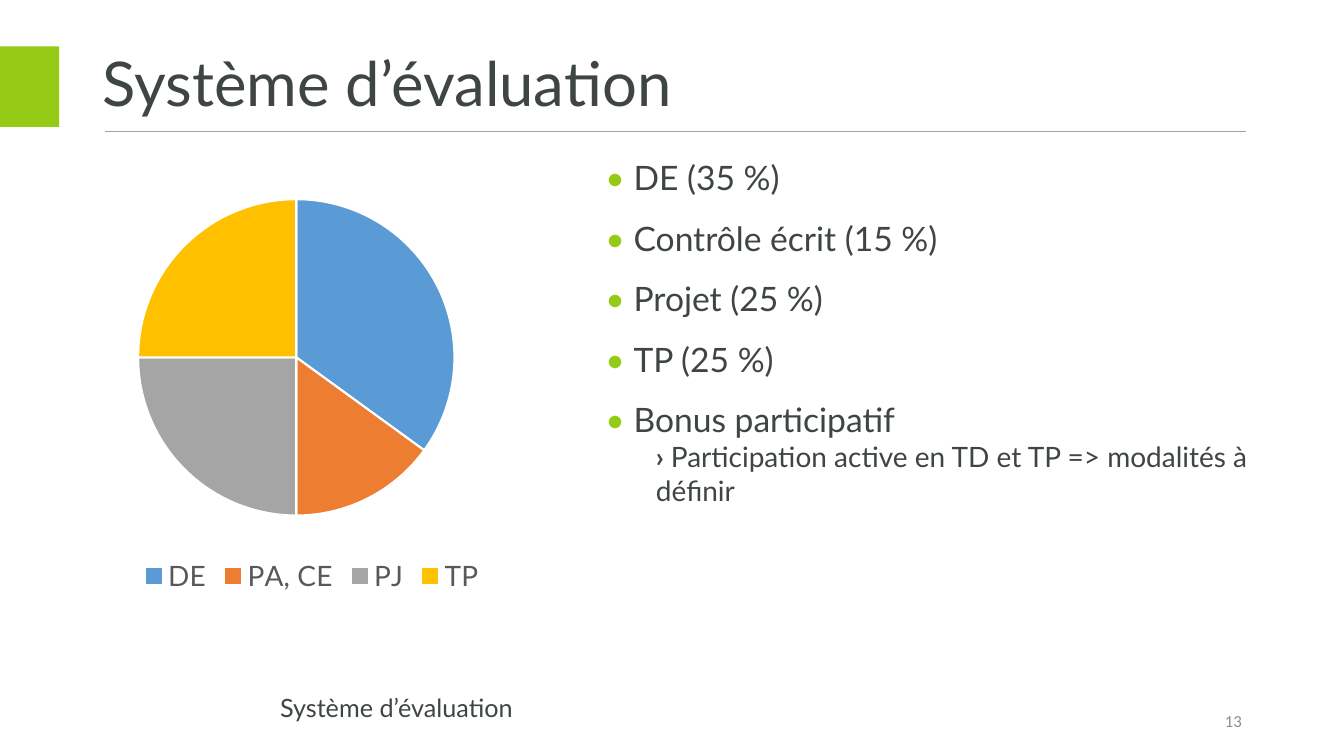
from lxml import etree
from pptx import Presentation
from pptx.chart.data import CategoryChartData
from pptx.dml.color import RGBColor
from pptx.enum.chart import XL_CHART_TYPE, XL_LEGEND_POSITION
from pptx.enum.shapes import MSO_CONNECTOR, MSO_SHAPE
from pptx.enum.text import MSO_ANCHOR, PP_ALIGN
from pptx.oxml import parse_xml
from pptx.oxml.ns import nsdecls, qn
from pptx.util import Cm, Pt

PIE = XL_CHART_TYPE.PIE
BOTTOM = XL_LEGEND_POSITION.BOTTOM
LINE = MSO_CONNECTOR.STRAIGHT
RECT = MSO_SHAPE.RECTANGLE
TOP, MIDDLE = MSO_ANCHOR.TOP, MSO_ANCHOR.MIDDLE
LEFT, RIGHT = PP_ALIGN.LEFT, PP_ALIGN.RIGHT

GREEN, DARK, GREY, RULE = "95CB15", "3F4444", "8C8C8C", "9FA1A1"
TITLE = "Système d’évaluation"


def color(code):
    return RGBColor.from_string(code)


class Page:
    def __init__(self, slide, font, ink):
        self.shapes = slide.shapes
        self.font = font
        self.ink = ink

    def style(self, font, size, ink=None, face=None, bold=False):
        font.size = Pt(size)
        font.name = face or self.font
        font.color.rgb = color(ink or self.ink)
        font.bold = bold

    def box(self, area, anchor=TOP):
        frame = self.shapes.add_textbox(*map(Cm, area)).text_frame
        frame.word_wrap = True
        frame.vertical_anchor = anchor
        return frame

    def add(self, par, text, size, **look):
        run = par.add_run()
        run.text = text
        self.style(run.font, size, **look)

    def label(self, area, text, size, anchor=TOP, align=LEFT, space=1.0, **look):
        par = self.box(area, anchor).paragraphs[0]
        par.alignment = align
        par.line_spacing = space
        self.add(par, text, size, **look)

    def points(self, area, items, detail):
        frame = self.box(area)
        par = frame.paragraphs[0]
        for item in items:
            par.line_spacing = 1.5
            self.add(par, "• ", 24, ink=GREEN)
            self.add(par, item, 24)
            par = frame.add_paragraph()
        par.level = 1
        props = par._p.get_or_add_pPr()
        props.set("marL", str(Cm(1.27)))
        props.set("indent", "0")
        self.add(par, "› ", 20, bold=True)
        self.add(par, detail, 20)

    def block(self, area, fill):
        shape = self.shapes.add_shape(RECT, *map(Cm, area))
        shape.shadow.inherit = False
        shape.fill.solid()
        shape.fill.fore_color.rgb = color(fill)
        shape.line.fill.background()

    def rule(self, left, right, top, ink):
        line = self.shapes.add_connector(LINE, Cm(left), Cm(top), Cm(right), Cm(top))
        line.line.color.rgb = color(ink)
        line.line.width = Pt(0.5)
        etree.SubElement(line._element.spPr, qn("a:effectLst"))

    def pie(self, area, parts, plot):
        data = CategoryChartData()
        data.categories = [name for name, _, _ in parts]
        data.add_series("Series 1", [value for _, value, _ in parts])
        chart = self.shapes.add_chart(PIE, *map(Cm, area), data).chart
        chart.has_title = False
        self.style(chart.font, 10, ink="000000", face="Calibri")
        chart.has_legend = True
        chart.legend.position = BOTTOM
        chart.legend.include_in_layout = False
        self.style(chart.legend.font, 20, ink="595959")
        chart.plots[0].vary_by_categories = True
        series = chart.plots[0].series[0]
        for index, (_, _, fill) in enumerate(parts):
            form = series.points[index].format
            form.fill.solid()
            form.fill.fore_color.rgb = color(fill)
            form.line.color.rgb = color("FFFFFF")
            form.line.width = Pt(1.5)
        sizes = "".join(f'<c:{key} val="{val}"/>' for key, val in zip("xywh", plot))
        layout = parse_xml(
            f'<c:layout {nsdecls("c")}><c:manualLayout><c:layoutTarget val="inner"/>'
            f'<c:xMode val="edge"/><c:yMode val="edge"/>{sizes}'
            "</c:manualLayout></c:layout>"
        )
        space = chart._chartSpace.chart.plotArea
        for old in space.findall(qn("c:layout")):
            space.remove(old)
        space.insert(0, layout)


deck = Presentation()
deck.slide_width, deck.slide_height = Cm(33.87), Cm(19.05)
page = Page(deck.slides.add_slide(deck.slide_layouts[6]), "Lato", DARK)

page.label((23.93, 17.65, 7.62, 1.02), "13", 12, MIDDLE, RIGHT, ink=GREY, face="Calibri")
page.points(
    (15.01, 3.33, 17.83, 9.65),
    ["DE (35 %)", "Contrôle écrit (15 %)", "Projet (25 %)", "TP (25 %)", "Bonus participatif"],
    "Participation active en TD et TP => modalités à définir",
)
page.label((2.34, 0.51, 29.21, 3.35), TITLE, 44, MIDDLE, space=0.9)
page.block((0, 1.17, 1.49, 2.03), GREEN)
page.rule(2.65, 31.4, 3.32, RULE)
page.pie(
    (0, 4.6, 15.72, 10.49),
    [("DE", 35, "5B9BD5"), ("PA, CE", 15, "ED7D31"), ("PJ", 25, "A5A5A5"), ("TP", 25, "FFC000")],
    (0.03, 0.04, 0.89, 0.76),
)
page.label((6.81, 17.32, 14.15, 1.02), TITLE, 18)

deck.save("out.pptx")
